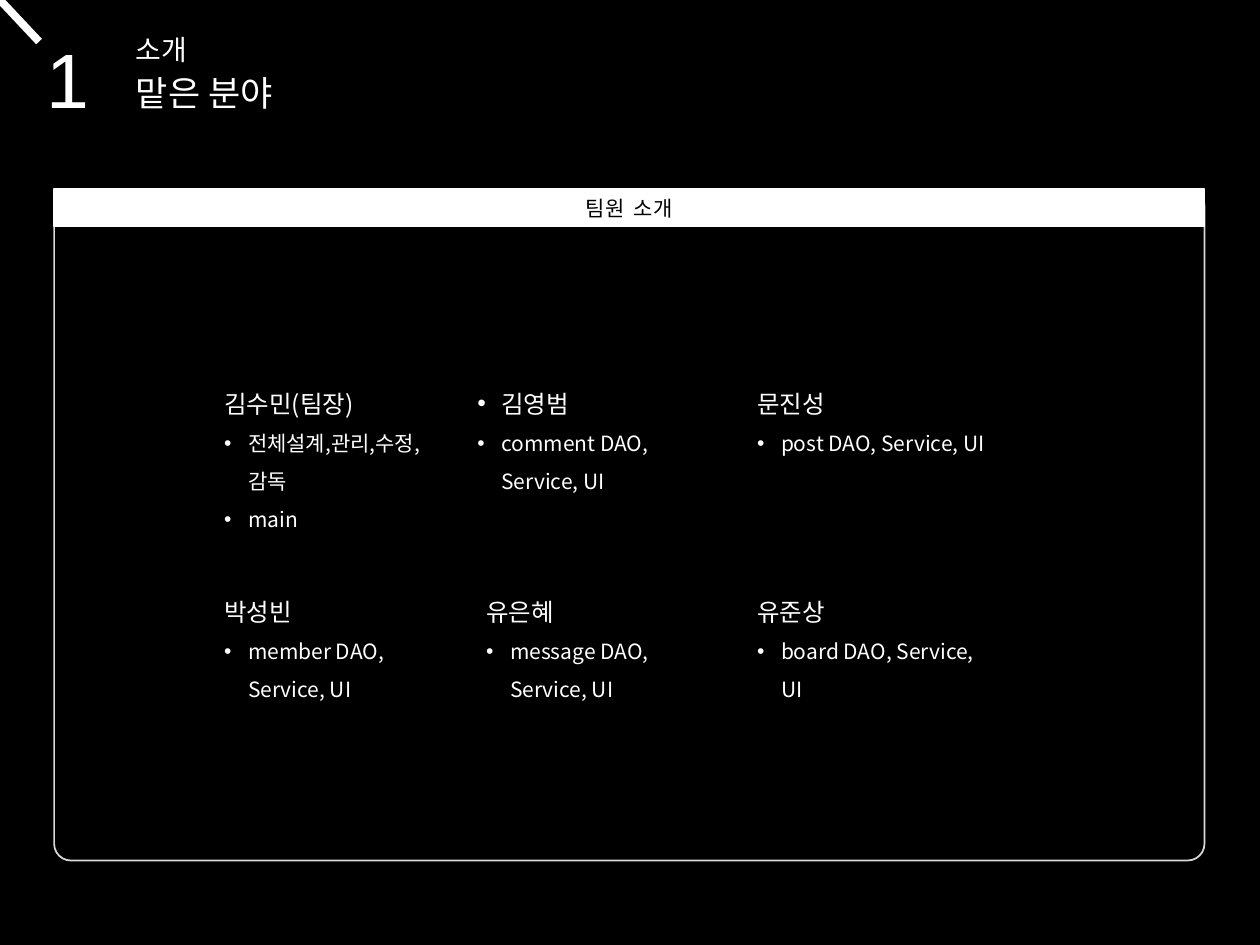
from lxml.etree import SubElement
from pptx import Presentation
from pptx.dml.color import RGBColor
from pptx.enum.shapes import MSO_CONNECTOR, MSO_SHAPE
from pptx.enum.text import MSO_ANCHOR, PP_ALIGN
from pptx.oxml.ns import qn
from pptx.util import Inches, Pt

WHITE, BLACK, GREY = "FFFFFF", "000000", "D8D8D8"
LATIN, KOREAN = "Arial", "Noto Sans CJK KR"
PANEL_LEFT, PANEL_TOP, PANEL_WIDTH = 0.43, 1.5, 9.13
COLUMNS = (1.68, 3.76, 5.91)
FIRST_ROW, ROW_PITCH = 2.92, 1.65
HEADING_HEIGHT, DUTY_HEIGHT = 0.46, 0.3
INDENT = 0.19

TEAM = [
    [
        ("김수민(팀장)", ["전체설계,관리,수정,감독", "main"], 1.89),
        ("김영범", ["comment DAO, Service, UI"], 2.1),
        ("문진성", ["post DAO, Service, UI"], 2.05),
    ],
    [
        ("박성빈", ["member DAO, Service, UI"], 2.01),
        ("유은혜", ["message DAO, Service, UI"], 2.07),
        ("유준상", ["board DAO, Service, UI"], 2.12),
    ],
]
BULLETED_NAME = "김영범"
BULLETED_SHIFT = -0.07


def color(hex_code):
    """Turn a hex string into a colour."""
    return RGBColor.from_string(hex_code)


def add_bullet(paragraph):
    """Give a paragraph a hanging white bullet."""
    properties = paragraph._p.get_or_add_pPr()
    properties.set("marL", str(Inches(INDENT)))
    properties.set("indent", str(-Inches(INDENT)))
    bullet_color = SubElement(properties, qn("a:buClr"))
    SubElement(bullet_color, qn("a:srgbClr"), val=WHITE)
    SubElement(properties, qn("a:buFont"), typeface=LATIN)
    SubElement(properties, qn("a:buChar"), char="•")


def write(paragraph, text, size=12, font=LATIN, ink=WHITE, align=None, spacing=None, bullet=False):
    """Write formatted text into a paragraph."""
    run = paragraph.add_run()
    run.text = text
    run.font.size = Pt(size)
    run.font.color.rgb = color(ink)
    run.font.name = font
    SubElement(run._r.get_or_add_rPr(), qn("a:ea"), typeface=KOREAN)
    paragraph.alignment = align
    paragraph.line_spacing = spacing
    if bullet:
        add_bullet(paragraph)


def add_text_frame(slide, left, top, width, height):
    """Add a wrapping text box and return its frame."""
    box = slide.shapes.add_textbox(Inches(left), Inches(top), Inches(width), Inches(height))
    box.text_frame.word_wrap = True
    return box.text_frame


def add_title(slide, text, left, top, width, height, size):
    """Add a one-line text of the slide's header."""
    write(add_text_frame(slide, left, top, width, height).paragraphs[0], text, size=size)


def add_block(slide, kind, height, fill, outline, weight):
    """Add a filled shape at the top of the panel."""
    block = slide.shapes.add_shape(
        kind, Inches(PANEL_LEFT), Inches(PANEL_TOP), Inches(PANEL_WIDTH), Inches(height)
    )
    block.shadow.inherit = False
    block.fill.solid()
    block.fill.fore_color.rgb = color(fill)
    block.line.color.rgb = color(outline)
    block.line.width = Pt(weight)
    return block


def add_corner_stroke(slide):
    """Add the thick stroke in the top left corner."""
    stroke = slide.shapes.add_connector(MSO_CONNECTOR.STRAIGHT, 0, 0, Inches(0.31), Inches(0.33))
    stroke.line.color.rgb = color(WHITE)
    stroke.line.width = Pt(4.5)
    SubElement(stroke._element.spPr, qn("a:effectLst"))


def add_panel(slide):
    """Add the rounded panel with its caption bar."""
    panel = add_block(slide, MSO_SHAPE.ROUNDED_RECTANGLE, 5.33, BLACK, GREY, 1)
    panel.adjustments[0] = 0.025
    caption = add_block(slide, MSO_SHAPE.RECTANGLE, 0.3, WHITE, WHITE, 0.75).text_frame
    caption.vertical_anchor = MSO_ANCHOR.MIDDLE
    write(caption.paragraphs[0], "팀원  소개", ink=BLACK, align=PP_ALIGN.CENTER)


def add_member(slide, left, top, width, name, duties):
    """Add a team member's name with a list of duties."""
    bulleted = name == BULLETED_NAME
    left += BULLETED_SHIFT if bulleted else 0
    height = HEADING_HEIGHT + DUTY_HEIGHT * len(duties)
    frame = add_text_frame(slide, left, top, width, height)
    write(frame.paragraphs[0], name, size=14, font=KOREAN, spacing=1.5, bullet=bulleted)
    for duty in duties:
        write(frame.add_paragraph(), duty, font=KOREAN, spacing=1.5, bullet=True)


def main():
    """Build and save the slide."""
    deck = Presentation()
    deck.slide_width, deck.slide_height = Inches(10), Inches(7.5)
    slide = deck.slides.add_slide(deck.slide_layouts[6])
    slide.background.fill.solid()
    slide.background.fill.fore_color.rgb = color(BLACK)

    add_corner_stroke(slide)
    add_title(slide, "1", 0.27, 0.2, 0.79, 0.84, 44)
    add_panel(slide)
    add_title(slide, "소개", 0.98, 0.21, 1.1, 0.37, 16)
    add_title(slide, "맡은 분야", 0.98, 0.52, 8.66, 0.44, 20)
    for row, members in enumerate(TEAM):
        for left, (name, duties, width) in zip(COLUMNS, members):
            add_member(slide, left, FIRST_ROW + row * ROW_PITCH, width, name, duties)

    deck.save("out.pptx")


if __name__ == "__main__":
    main()
